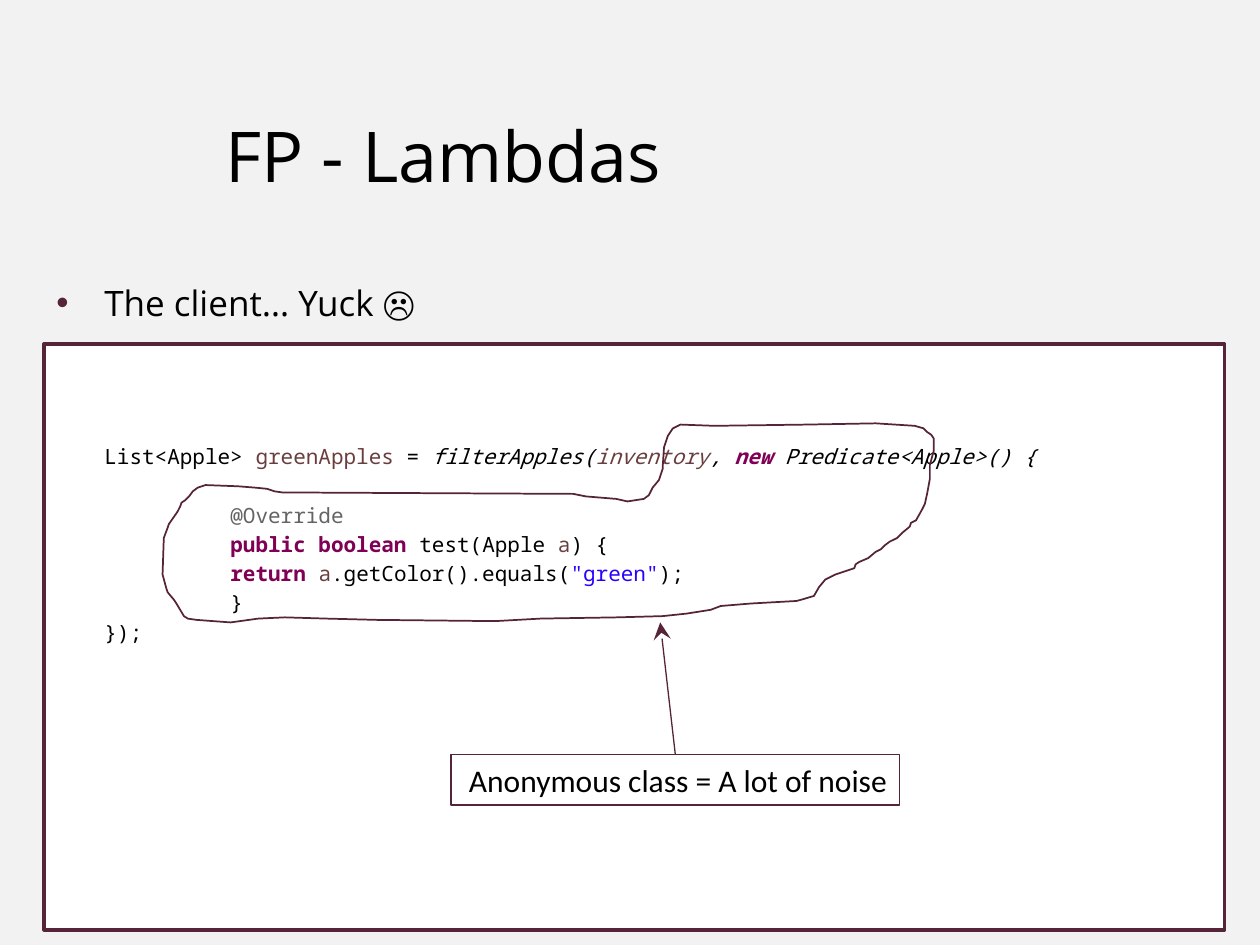
from lxml.etree import SubElement
from pptx import Presentation
from pptx.dml.color import RGBColor
from pptx.enum.shapes import MSO_CONNECTOR, MSO_SHAPE
from pptx.enum.text import MSO_ANCHOR, PP_ALIGN
from pptx.oxml.ns import qn
from pptx.util import Inches, Pt

COLORS = {
    "background": "F2F2F2", "panel": "FFFFFF", "accent": "552438",
    "text": "000000", "variable": "6A3E3E", "keyword": "7F0055",
    "annotation": "646464", "string": "2A00FF",
}


def color(name):
    return RGBColor.from_string(COLORS[name])


def style_text(para, font, size):
    para.font.name = font
    para.font.size = Pt(size)
    para.font.color.rgb = color("text")


deck = Presentation()
deck.slide_width, deck.slide_height = Inches(10), Inches(7.5)
page = deck.slides.add_slide(deck.slide_layouts[6])
page.background.fill.solid()
page.background.fill.fore_color.rgb = color("background")

# White panel behind the code
panel = page.shapes.add_shape(
    MSO_SHAPE.RECTANGLE, Inches(0.35), Inches(2.73), Inches(9.37), Inches(4.65))
panel.shadow.inherit = False
panel.fill.solid()
panel.fill.fore_color.rgb = color("panel")
panel.line.color.rgb = color("accent")
panel.line.width = Pt(2)

# Title
title = page.shapes.add_textbox(Inches(1.69), Inches(0.6), Inches(8.9), Inches(1.26))
title.text_frame.word_wrap = True
title.text_frame.vertical_anchor = MSO_ANCHOR.MIDDLE
para = title.text_frame.paragraphs[0]
para.add_run().text = "FP - Lambdas"
style_text(para, "Open Sans", 40)

# Bullet line and code listing
body = page.shapes.add_textbox(Inches(0.35), Inches(2.02), Inches(8.9), Inches(2.83))
body.text_frame.word_wrap = True
para = body.text_frame.paragraphs[0]
para.line_spacing = 1.5
properties = para._p.get_or_add_pPr()
properties.set("marL", str(Inches(0.38)))
properties.set("indent", str(-Inches(0.38)))
bullet_color = SubElement(properties, qn("a:buClr"))
SubElement(bullet_color, qn("a:srgbClr"), val=COLORS["accent"])
SubElement(properties, qn("a:buFont"), typeface="Arial")
SubElement(properties, qn("a:buChar"), char="•")
para.add_run().text = "The client… Yuck ☹"
style_text(para, "Open Sans", 20)

# Each line: left margin, space before, then (text, colour, style) spans
code_lines = [
    (0.38, 66, [("\tList<Apple> ", "text", ""), ("greenApples", "variable", ""),
                (" = ", "text", ""), ("filterApples(", "text", "i"),
                ("inventory", "variable", "i"), (", ", "text", "i"),
                ("new ", "keyword", "bi"), ("Predicate<Apple>() {", "text", "i")]),
    (0.38, 17, [("\t\t\t@Override", "annotation", "")]),
    (0.88, 0, [("\t\tpublic boolean ", "keyword", "b"), ("test(Apple ", "text", ""),
               ("a", "variable", ""), (") {", "text", "")]),
    (0.38, 0, [("\t\t\treturn ", "keyword", "b"), ("a", "variable", ""),
               (".getColor().equals(", "text", ""), ('"green"', "string", ""),
               (");", "text", "")]),
    (0.88, 0, [("\t\t}", "text", "")]),
    (0.38, 0, [("\t});", "text", "")]),
]
for margin, space_before, spans in code_lines:
    para = body.text_frame.add_paragraph()
    para.line_spacing = Pt(16.7)
    para.space_before = Pt(space_before)
    properties = para._p.get_or_add_pPr()
    properties.set("marL", str(Inches(margin)))
    properties.set("indent", str(-Inches(0.38)))
    SubElement(properties, qn("a:buNone"))
    style_text(para, "Noto Sans Mono", 12)
    for text, color_name, style in spans:
        span = para.add_run()
        span.text = text
        span.font.color.rgb = color(color_name)
        span.font.bold = "b" in style
        span.font.italic = "i" in style

# Hand-drawn loop around the anonymous class, in hundredths of an inch
loop_points = [
    (526, 370), (527, 355), (530, 346), (534, 340), (540, 337), (567, 338),
    (640, 337), (695, 336), (726, 338), (733, 340), (736, 343), (739, 345),
    (741, 348), (741, 358), (738, 369), (738, 380), (736, 391), (734, 400),
    (732, 404), (727, 413), (723, 415), (722, 418), (716, 423), (712, 427),
    (706, 430), (702, 433), (699, 436), (695, 438), (689, 443), (682, 446),
    (679, 448), (678, 451), (672, 453), (663, 456), (659, 458), (655, 460),
    (650, 466), (646, 473), (636, 476), (632, 477), (596, 479), (572, 481),
    (564, 484), (545, 487), (526, 489), (490, 490), (429, 491), (393, 493),
    (299, 492), (259, 491), (226, 490), (205, 491), (183, 494), (156, 492),
    (149, 491), (146, 489), (140, 479), (138, 476), (133, 470), (132, 467),
    (129, 456), (130, 427), (133, 419), (134, 416), (141, 406), (143, 402),
    (144, 399), (147, 397), (150, 394), (153, 390), (157, 387), (163, 385),
    (189, 386), (202, 387), (212, 388), (218, 390), (225, 391), (249, 391),
    (455, 392), (465, 394), (489, 396), (498, 398), (511, 396), (515, 393),
    (518, 387), (523, 381), (526, 372),
]
builder = page.shapes.build_freeform(*loop_points[0], scale=Inches(0.01))
builder.add_line_segments(loop_points[1:], close=True)
loop = builder.convert_to_shape()
loop.shadow.inherit = False
loop.fill.background()
loop.line.color.rgb = color("accent")
loop.line.width = Pt(1)

# Callout and its arrow
callout = page.shapes.add_shape(
    MSO_SHAPE.RECTANGLE, Inches(3.58), Inches(5.99), Inches(3.56), Inches(0.4))
callout.shadow.inherit = False
callout.fill.background()
callout.line.color.rgb = color("accent")
callout.line.width = Pt(0.75)
callout.text_frame.word_wrap = True
callout.text_frame.vertical_anchor = MSO_ANCHOR.TOP
para = callout.text_frame.paragraphs[0]
para.alignment = PP_ALIGN.RIGHT
para.add_run().text = "Anonymous class = A lot of noise"
style_text(para, "Calibri", 18)

arrow = page.shapes.add_connector(
    MSO_CONNECTOR.STRAIGHT, Inches(5.36), Inches(5.99), Inches(5.24), Inches(4.94))
arrow.line.color.rgb = color("accent")
arrow.line.width = Pt(0.75)
SubElement(arrow.line._get_or_add_ln(), qn("a:tailEnd"), type="stealth", w="lg", len="lg")
SubElement(arrow._element.spPr, qn("a:effectLst"))

deck.save("out.pptx")
